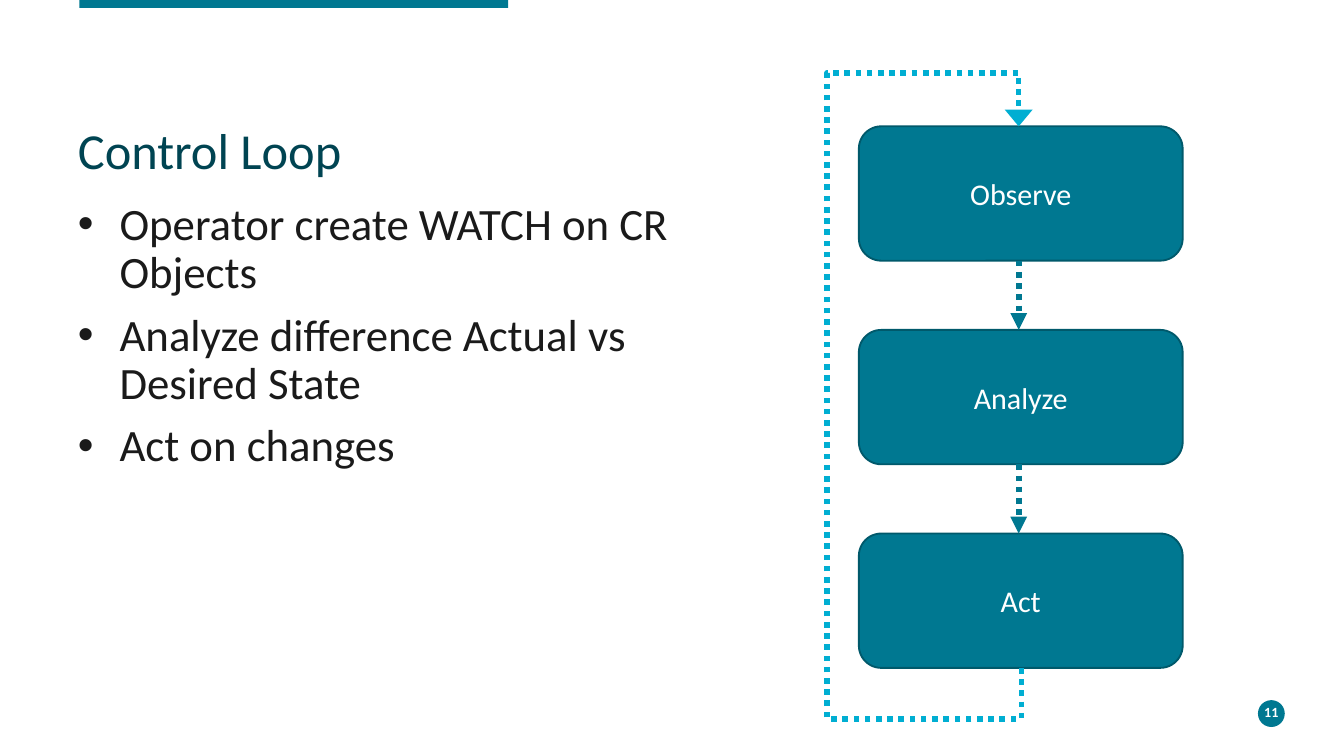
from lxml import etree
from pptx import Presentation
from pptx.dml.color import RGBColor
from pptx.enum.dml import MSO_LINE
from pptx.enum.shapes import MSO_CONNECTOR, MSO_SHAPE
from pptx.enum.text import MSO_ANCHOR, MSO_AUTO_SIZE, PP_ALIGN
from pptx.oxml.ns import qn
from pptx.util import Inches, Pt

RECT, OVAL, ROUND = MSO_SHAPE.RECTANGLE, MSO_SHAPE.OVAL, MSO_SHAPE.ROUNDED_RECTANGLE
LINE, ELBOW = MSO_CONNECTOR.STRAIGHT, MSO_CONNECTOR.ELBOW
DOTS = MSO_LINE.ROUND_DOT
CENTER, LEFT = PP_ALIGN.CENTER, PP_ALIGN.LEFT
TOP, MIDDLE = MSO_ANCHOR.TOP, MSO_ANCHOR.MIDDLE
FIT_NONE = MSO_AUTO_SIZE.NONE

FONT = "Calibri"
TEAL, EDGE, CYAN = "007891", "00596B", "00AED2"
DARK, INK, WHITE = "004452", "1A1A1A", "FFFFFF"

STEPS = ["Observe", "Analyze", "Act"]
POINTS = [
    "Operator create WATCH on CR Objects",
    "Analyze difference Actual vs Desired State",
    "Act on changes",
]
BOX_X, BOX_Y, BOX_W, BOX_H, PITCH = 6.39, 0.94, 2.41, 1.0, 1.515
MID_X = 7.58


def color(target, code):
    target.rgb = RGBColor.from_string(code)


def put(frame, lines, size, code, align=LEFT, anchor=TOP, bold=False):
    """Fill a text frame, one paragraph for each line."""
    frame.word_wrap = True
    frame.auto_size = FIT_NONE
    frame.vertical_anchor = anchor
    frame.margin_left = frame.margin_right = 0
    frame.margin_top = frame.margin_bottom = 0
    for i, line in enumerate(lines):
        para = frame.add_paragraph() if i else frame.paragraphs[0]
        para.alignment = align
        run = para.add_run()
        run.text = line
        run.font.name = FONT
        run.font.size = Pt(size)
        run.font.bold = bold
        color(run.font.color, code)
    return frame.paragraphs


def place(item, x, y, w, h):
    item.left, item.top = Inches(x), Inches(y)
    item.width, item.height = Inches(w), Inches(h)


def shape(slide, kind, x, y, w, h, edge=None):
    item = slide.shapes.add_shape(kind, Inches(x), Inches(y), Inches(w), Inches(h))
    item.shadow.inherit = False
    item.fill.solid()
    color(item.fill.fore_color, TEAL)
    if edge:
        color(item.line.color, edge)
        item.line.width = Pt(1)
    else:
        item.line.fill.background()
    return item


def arrow(slide, kind, x1, y1, x2, y2, code, head="med"):
    item = slide.shapes.add_connector(
        kind, Inches(x1), Inches(y1), Inches(x2), Inches(y2))
    color(item.line.color, code)
    item.line.width = Pt(3)
    item.line.dash_style = DOTS
    props = item._element.spPr
    etree.SubElement(props.find(qn("a:ln")), qn("a:tailEnd"),
                     type="triangle", w=head)
    etree.SubElement(props, qn("a:effectLst"))
    return item


def loop(slide, x1, y1, x2, y2, side, low, high):
    """Arrow from the last step round the left side to the first."""
    w, h = y1 - y2, x1 - x2
    mx, my = (x1 + x2) / 2, (y1 + y2) / 2
    item = arrow(slide, ELBOW, mx + w / 2, my - h / 2,
                 mx - w / 2, my + h / 2, CYAN, "lg")
    props = item._element.spPr
    props.find(qn("a:xfrm")).set("rot", "5400000")
    geom = props.find(qn("a:prstGeom"))
    geom.set("prst", "bentConnector5")
    guides = geom.find(qn("a:avLst"))
    if guides is None:
        guides = etree.SubElement(geom, qn("a:avLst"))
    ratios = [(y1 - low) / w, (x1 - side) / h, (y1 - high) / w]
    for i, ratio in enumerate(ratios, 1):
        etree.SubElement(guides, qn("a:gd"), name=f"adj{i}",
                         fmla=f"val {round(ratio * 100000)}")


def bullet(para):
    props = para._p.get_or_add_pPr()
    props.set("marL", str(Inches(0.31)))
    props.set("indent", str(-Inches(0.31)))
    etree.SubElement(props, qn("a:buFont"), typeface="Arial")
    etree.SubElement(props, qn("a:buChar"), char="•")


def words(slide):
    title, body = slide.shapes.title, slide.placeholders[1]
    place(title, 0.58, 0.94, 8.73, 0.45)
    place(body, 0.58, 1.5, 4.47, 3.47)
    head = put(title.text_frame, ["Control Loop"], 27, DARK)[0]
    head.line_spacing = 0.9
    for para in put(body.text_frame, POINTS, 24, INK):
        para.line_spacing = 0.9
        para.space_before = Pt(7.5)
        bullet(para)


def main():
    deck = Presentation()
    # Widescreen, 16 to 9
    deck.slide_width, deck.slide_height = Inches(10), Inches(10 * 9 / 16)
    slide = deck.slides.add_slide(deck.slide_layouts[1])

    # Top bar and page number
    shape(slide, RECT, 0.59, 0, 3.19, 0.06)
    shape(slide, OVAL, 9.36, 5.21, 0.2, 0.2)
    page = slide.shapes.add_textbox(
        Inches(9.31), Inches(5.22), Inches(0.3), Inches(0.16))
    put(page.text_frame, ["11"], 7.5, WHITE, CENTER, MIDDLE, True)

    # Title and list
    words(slide)

    # Steps of the loop
    tops = [BOX_Y + i * PITCH for i in range(len(STEPS))]
    for name, y in zip(STEPS, tops):
        box = shape(slide, ROUND, BOX_X, y, BOX_W, BOX_H, EDGE)
        put(box.text_frame, [name], 16.1, WHITE, CENTER, MIDDLE)

    # Arrows
    loop(slide, 7.6, tops[-1] + BOX_H, MID_X, BOX_Y, 6.16, 5.35, 0.54)
    for y, below in zip(tops, tops[1:]):
        arrow(slide, LINE, MID_X, y + BOX_H, MID_X, below, TEAL)

    deck.save("out.pptx")


main()
